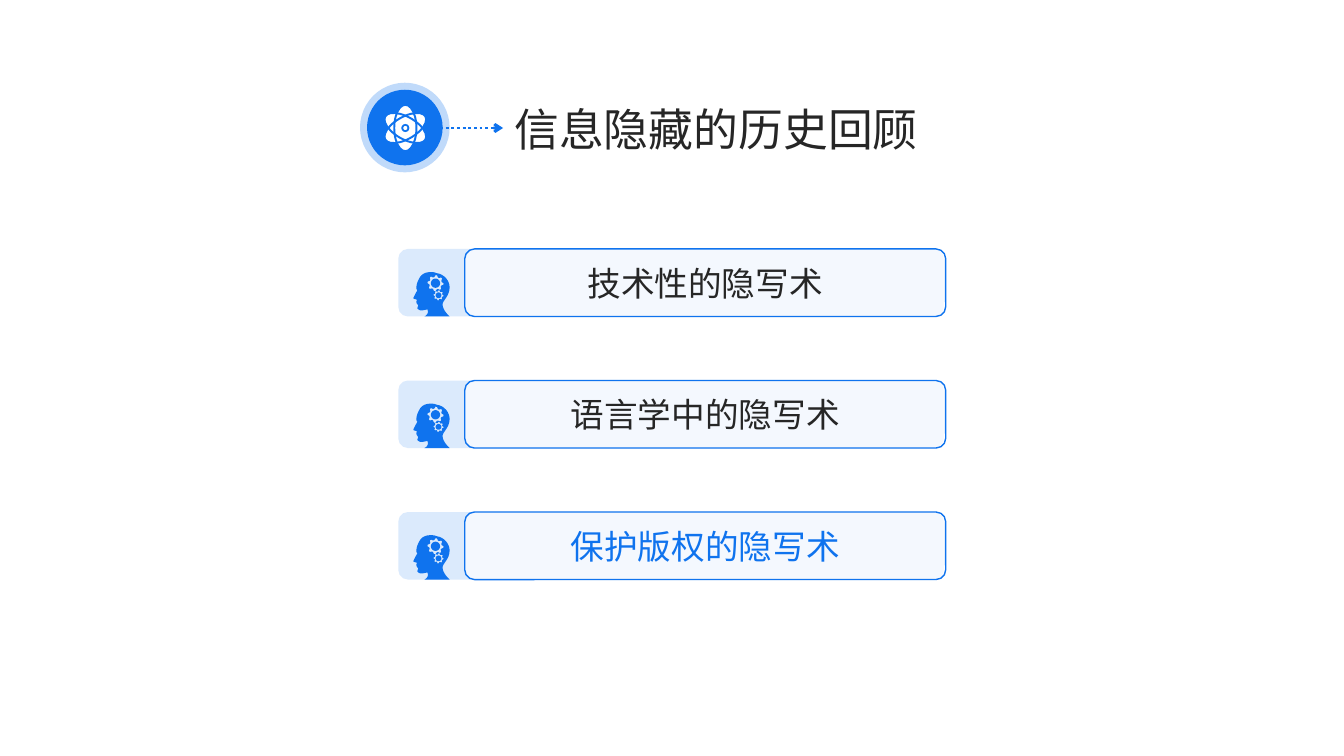
"""Build the slide on the history of information hiding."""
from math import cos, pi, sin

from lxml import etree
from pptx import Presentation
from pptx.dml.color import RGBColor
from pptx.enum.dml import MSO_LINE
from pptx.enum.shapes import MSO_CONNECTOR, MSO_SHAPE
from pptx.enum.text import MSO_ANCHOR, MSO_AUTO_SIZE, PP_ALIGN
from pptx.oxml.ns import qn
from pptx.util import Inches, Pt

ELLIPSE, ROUNDED = MSO_SHAPE.OVAL, MSO_SHAPE.ROUNDED_RECTANGLE
STRAIGHT, DOTTED = MSO_CONNECTOR.STRAIGHT, MSO_LINE.ROUND_DOT
LEFT, CENTER = PP_ALIGN.LEFT, PP_ALIGN.CENTER
TOP, MIDDLE = MSO_ANCHOR.TOP, MSO_ANCHOR.MIDDLE

BLUE, WHITE, INK = "0F73EE", "FFFFFF", "262626"
CJK, LATIN = "Noto Sans CJK SC", "Times New Roman"

TITLE = "信息隐藏的历史回顾"
TOPICS = [("技术性的隐写术", INK), ("语言学中的隐写术", INK), ("保护版权的隐写术", BLUE)]

BADGE = (3.64, 0.89, 0.75, 0.75)
ATOM_CENTER = (4.02, 1.27)
ORBIT = (0.46, 0.22)
ORBIT_TURNS = (30, 90, 150)

FIRST_TOP, LAST_TOP, ROW_HEIGHT = 2.47, 5.08, 0.67
HEAD_LEFT, HEAD_DROP = 4.1, 0.23
HEAD_START = (0.17, 0)
HEAD_CURVES = [
    ((0.19, 0), (0.21, 0), (0.23, 0.01)),
    ((0.31, 0.02), (0.36, 0.09), (0.36, 0.15)),
    ((0.36, 0.24), (0.29, 0.28), (0.29, 0.32)),
    ((0.29, 0.38), (0.36, 0.44), (0.36, 0.44)),
    ((0.28, 0.44), (0.19, 0.44), (0.11, 0.44)),
    ((0.11, 0.44), (0.16, 0.42), (0.14, 0.37)),
    ((0.13, 0.37), (0.1, 0.38), (0.08, 0.38)),
    ((0.06, 0.38), (0.05, 0.37), (0.04, 0.36)),
    ((0.04, 0.35), (0.05, 0.33), (0.05, 0.33)),
    ((0.04, 0.32), (0.03, 0.31), (0.03, 0.29)),
    ((0.04, 0.28), (0.03, 0.27), (0.03, 0.27)),
    ((0.03, 0.27), (0.01, 0.27), (0, 0.26)),
    ((0, 0.25), (0.04, 0.18), (0.04, 0.18)),
    ((0.04, 0.18), (0.03, 0.17), (0.03, 0.16)),
    ((0.03, 0.15), (0.03, 0.11), (0.06, 0.06)),
    ((0.08, 0.02), (0.12, 0), (0.17, 0)),
]
GEARS = [(0.22, 0.11, 0.08), (0.25, 0.23, 0.05)]
TEETH, CURVE_STEPS, CIRCLE_STEPS = 8, 8, 24


def paint(color_format, color, opacity=100):
    """Set a colour, with its opacity in percent."""
    color_format.solid()
    color_format.fore_color.rgb = RGBColor.from_string(color)
    if opacity < 100:
        node = color_format.fore_color._xFill.find(qn("a:srgbClr"))
        etree.SubElement(node, qn("a:alpha")).set("val", str(opacity * 1000))


def style(shape, fill=None, opacity=100, line=None, width=1, line_opacity=100):
    """Give a shape its fill and line and no shadow."""
    shape.shadow.inherit = False
    if fill:
        paint(shape.fill, fill, opacity)
    else:
        shape.fill.background()
    if line:
        paint(shape.line.fill, line, line_opacity)
        shape.line.width = Pt(width)
    else:
        shape.line.fill.background()


def add_preset(shapes, kind, place, **look):
    """Add a styled preset shape."""
    shape = shapes.add_shape(kind, *map(Inches, place))
    style(shape, **look)
    return shape


def centered(center, width, height):
    """Return the place of a box around a centre."""
    return center[0] - width / 2, center[1] - height / 2, width, height


def write(shape, text, size, font, color, align, anchor):
    """Write one line of text into a shape."""
    frame = shape.text_frame
    frame.vertical_anchor = anchor
    para = frame.paragraphs[0]
    para.alignment = align
    span = para.add_run()
    span.text = text
    span.font.size = Pt(size)
    span.font.name = font
    span.font.color.rgb = RGBColor.from_string(color)
    etree.SubElement(span.font._element, qn("a:ea")).set("typeface", CJK)


def ring(center_x, center_y, radii):
    """Return points around a centre, one for each radius."""
    step = 2 * pi / len(radii)
    return [(center_x + radius * cos(index * step), center_y + radius * sin(index * step))
            for index, radius in enumerate(radii)]


def head_outline():
    """Return points along the curves of the head."""
    points = [HEAD_START]
    for first, second, end in HEAD_CURVES:
        start = points[-1]
        for step in range(1, CURVE_STEPS + 1):
            t = step / CURVE_STEPS
            points.append(tuple(
                (1 - t) ** 3 * a + 3 * t * (1 - t) ** 2 * b + 3 * t * t * (1 - t) * c + t ** 3 * d
                for a, b, c, d in zip(start, first, second, end)))
    return points


def add_head(shapes, left, top):
    """Add a head with two gears cut out of it."""
    outlines = [head_outline()]
    for x, y, radius in GEARS:
        outlines.append(ring(x, y, [radius, radius, radius * 0.78, radius * 0.78] * TEETH))
        outlines.append(ring(x, y, [radius * 0.57] * CIRCLE_STEPS))
    builder = None
    for outline in outlines:
        points = [(Inches(left + x), Inches(top + y)) for x, y in outline]
        if builder is None:
            builder = shapes.build_freeform(*points[0], scale=1.0)
        else:
            builder.move_to(*points[0])
        builder.add_line_segments(points[1:], close=True)
    style(builder.convert_to_shape(), fill=BLUE)


def add_atom(shapes):
    """Add the atom as petals, orbits and a nucleus."""
    atom = shapes.add_group_shape().shapes
    for look in ({"fill": WHITE}, {"line": BLUE, "width": 1.4}):
        for turn in ORBIT_TURNS:
            add_preset(atom, ELLIPSE, centered(ATOM_CENTER, *ORBIT), **look).rotation = turn
    for size, color in ((0.08, BLUE), (0.04, WHITE)):
        add_preset(atom, ELLIPSE, centered(ATOM_CENTER, size, size), fill=color)


def add_arrow(shapes):
    """Add the dotted arrow that leads to the title."""
    arrow = shapes.add_connector(STRAIGHT, *map(Inches, (4.31, 1.27, 4.99, 1.27)))
    paint(arrow.line.fill, BLUE)
    arrow.line.width = Pt(2)
    arrow.line.dash_style = DOTTED
    etree.SubElement(arrow.line._get_or_add_ln(), qn("a:tailEnd")).set("type", "arrow")
    etree.SubElement(arrow._element.spPr, qn("a:effectLst"))


def add_topic(shapes, top, text, color):
    """Add one topic row with its head icon."""
    row = shapes.add_group_shape().shapes
    back = add_preset(row, ROUNDED, (3.95, top, 5.41, ROW_HEIGHT), fill=BLUE, opacity=15)
    add_head(row, HEAD_LEFT, top + HEAD_DROP)
    label = add_preset(row, ROUNDED, (4.61, top, 4.77, ROW_HEIGHT),
                       fill=WHITE, opacity=70, line=BLUE)
    for shape in (back, label):
        shape.adjustments[0] = 0.143
    write(label, text, 24, LATIN, color, CENTER, MIDDLE)


def main():
    """Build and save the deck."""
    deck = Presentation()
    deck.slide_width, deck.slide_height = Inches(13.33), Inches(7.5)
    page = deck.slides.add_slide(deck.slide_layouts[5])
    shapes = page.shapes

    title = shapes.title
    title.left, title.top, title.width, title.height = map(Inches, (5, 0.96, 4.24, 0.64))
    title.text_frame.word_wrap = False
    title.text_frame.auto_size = MSO_AUTO_SIZE.NONE
    write(title, TITLE, 32, CJK, INK, LEFT, TOP)

    add_preset(shapes, ELLIPSE, BADGE, fill=BLUE, line=BLUE, width=10, line_opacity=25)
    add_arrow(shapes)
    add_atom(shapes)
    pitch = (LAST_TOP - FIRST_TOP) / (len(TOPICS) - 1)
    for index, (text, color) in enumerate(TOPICS):
        add_topic(shapes, FIRST_TOP + index * pitch, text, color)
    deck.save("out.pptx")


if __name__ == "__main__":
    main()
